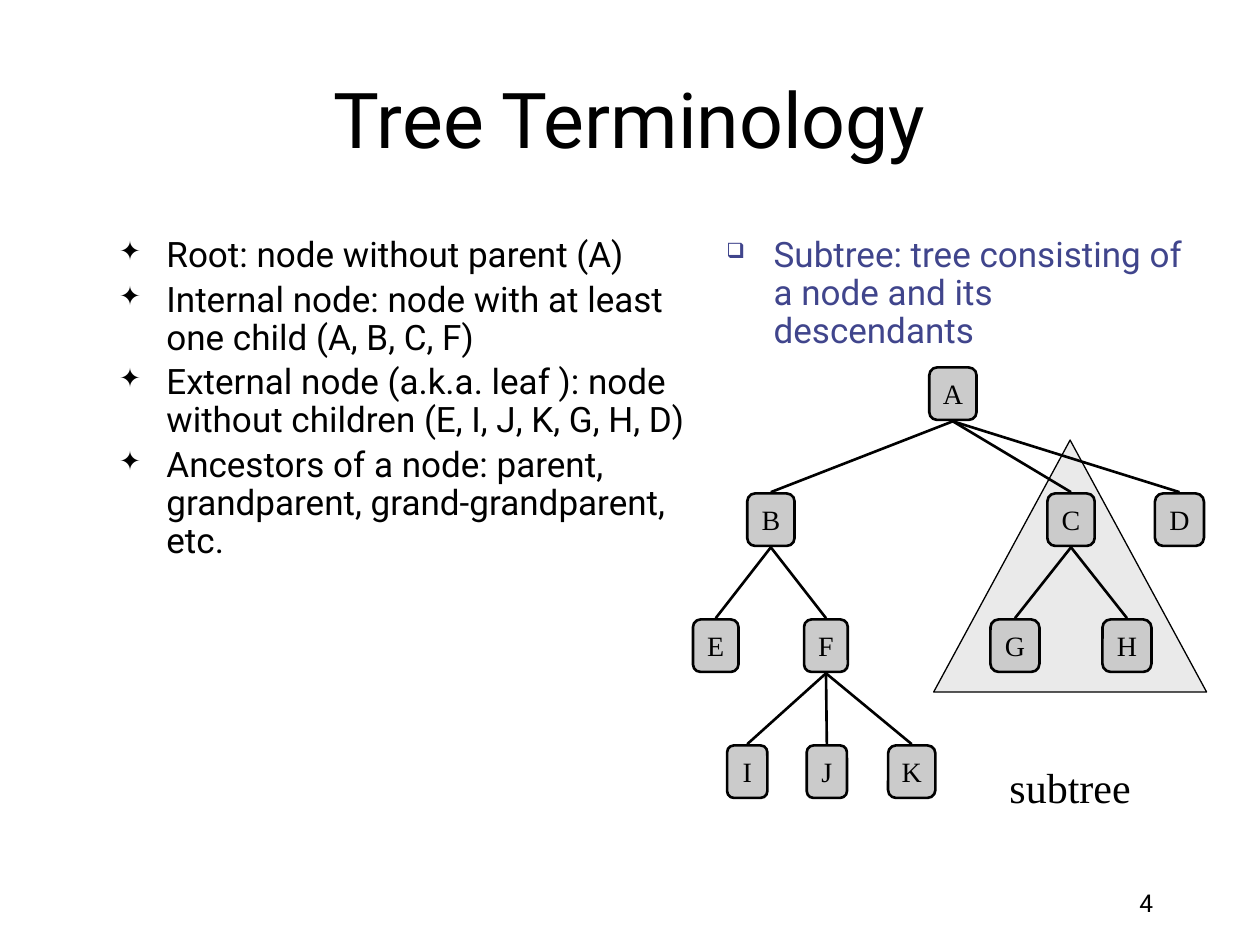
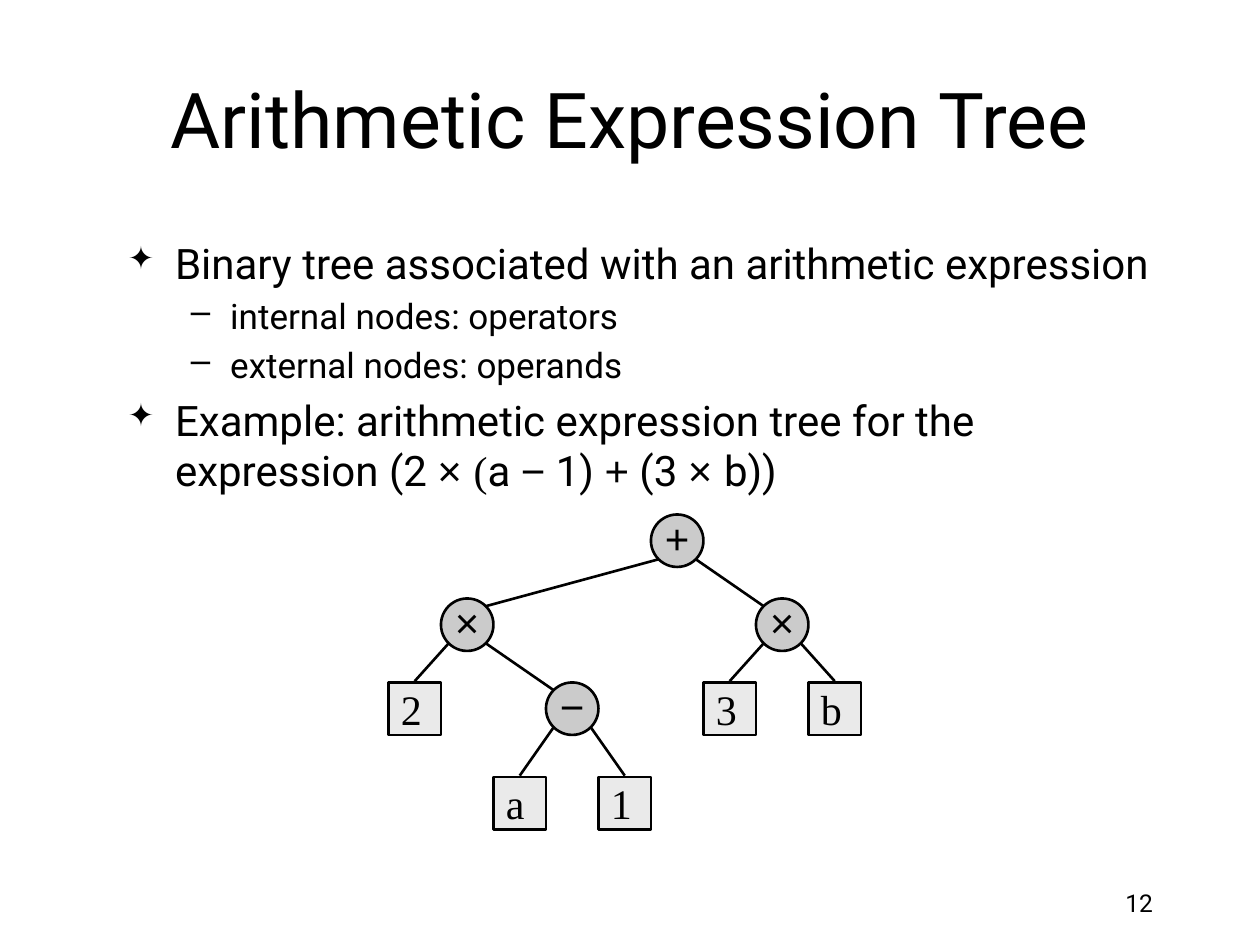
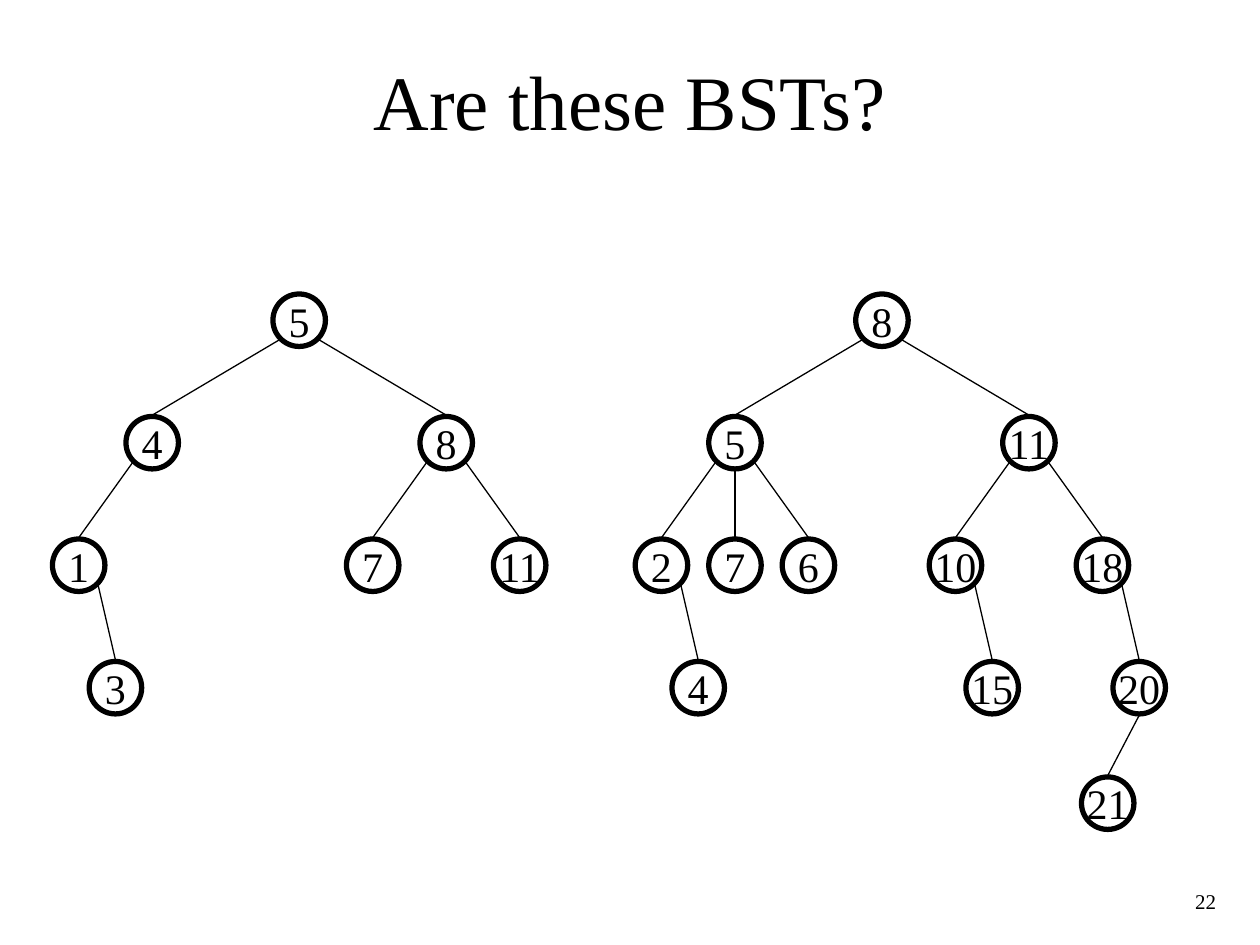
from dataclasses import dataclass

from lxml import etree
from pptx import Presentation
from pptx.dml.color import RGBColor
from pptx.enum.shapes import MSO_CONNECTOR, MSO_SHAPE
from pptx.enum.text import MSO_ANCHOR, PP_ALIGN
from pptx.oxml.ns import qn
from pptx.util import Pt

LEFT, CENTER, RIGHT = PP_ALIGN.LEFT, PP_ALIGN.CENTER, PP_ALIGN.RIGHT
TOP, MIDDLE, BOTTOM = MSO_ANCHOR.TOP, MSO_ANCHOR.MIDDLE, MSO_ANCHOR.BOTTOM
OVAL, RECT = MSO_SHAPE.OVAL, MSO_SHAPE.RECTANGLE
ROUND, PEAK = MSO_SHAPE.ROUNDED_RECTANGLE, MSO_SHAPE.ISOSCELES_TRIANGLE
STRAIGHT = MSO_CONNECTOR.STRAIGHT

BLACK, BLUE, GRAY, PALE = "000000", "40458C", "CBCBCB", "EAEAEA"
SANS, SERIF, SIGN = "Roboto", "Times New Roman", "Arial"
SIDE = 30  # node height and usual width
INSETS = (7.2, 3.6, 7.2, 3.6)


@dataclass
class Bullet:
    mark: str
    color: str = BLACK
    scale: int = 100
    margin: float = 27
    hang: float = 27
    level: int = 0


@dataclass
class Style:
    form: int
    fill: str | None
    line: float
    edge: float
    font: str = SERIF
    size: float = 24
    align: int = CENTER
    insets: tuple = INSETS
    out: float = 0   # diagonal offset where edges leave
    into: float = 0  # diagonal offset where edges arrive


@dataclass
class Node:
    text: str
    x: float  # centre
    top: float
    parent: int = -1
    width: float = SIDE


STAR = Bullet("✦", scale=75)
DASH = Bullet("–", margin=58.5, hang=22.5, level=1)
BOX = Bullet("❑", BLUE, 60)

LABEL = Style(ROUND, GRAY, 1.5, 1.5, size=16)
SYMBOL = Style(OVAL, GRAY, 1.5, 1.5, SIGN, insets=(0, 0, 0, 3.6), out=10.6, into=10.6)
VALUE = Style(RECT, PALE, 1.5, 1.5, align=LEFT)
RING = Style(OVAL, None, 3, 0.75, out=11)


def paint(color: str) -> RGBColor:
    return RGBColor.from_string(color)


def add_mark(para, bullet: Bullet) -> None:
    props = para._p.get_or_add_pPr()
    props.set("marL", str(int(Pt(bullet.margin))))
    props.set("indent", str(int(Pt(-bullet.hang))))
    tint = etree.SubElement(props, qn("a:buClr"))
    etree.SubElement(tint, qn("a:srgbClr"), val=bullet.color)
    etree.SubElement(props, qn("a:buSzPct"), val=str(bullet.scale * 1000))
    etree.SubElement(props, qn("a:buChar"), char=bullet.mark)


def write(frame, text, *, size: float, font: str = SANS, color: str = BLACK,
          align=LEFT, bullet: Bullet | None = None, pitch: float | None = None) -> None:
    """Add a paragraph; text is a string or a list of (text, font) runs."""
    first = not frame.paragraphs[0].runs
    para = frame.paragraphs[0] if first else frame.add_paragraph()
    para.alignment = align
    if bullet:
        para.level = bullet.level
        add_mark(para, bullet)
    para.space_before = Pt(0 if first else size * 0.2)
    if pitch:
        para.line_spacing = pitch
    for part, face in [(text, font)] if isinstance(text, str) else text:
        run = para.add_run()
        run.text = part
        run.font.name, run.font.size = face, Pt(size)
        run.font.color.rgb = paint(color)


def set_frame(frame, anchor, wrap: bool = True, insets: tuple = INSETS) -> None:
    frame.word_wrap, frame.vertical_anchor = wrap, anchor
    (frame.margin_left, frame.margin_top,
     frame.margin_right, frame.margin_bottom) = map(Pt, insets)


def add_text(slide, x: float, y: float, w: float, h: float, anchor=TOP):
    frame = slide.shapes.add_textbox(Pt(x), Pt(y), Pt(w), Pt(h)).text_frame
    set_frame(frame, anchor)
    return frame


def add_form(slide, form, x: float, y: float, w: float, h: float,
             fill: str | None, line: float):
    shape = slide.shapes.add_shape(form, Pt(x), Pt(y), Pt(w), Pt(h))
    shape.shadow.inherit = False
    if fill:
        shape.fill.solid()
        shape.fill.fore_color.rgb = paint(fill)
    else:
        shape.fill.background()
    shape.line.color.rgb = paint(BLACK)
    shape.line.width = Pt(line)
    return shape


def add_edge(slide, start: tuple, end: tuple, width: float) -> None:
    edge = slide.shapes.add_connector(STRAIGHT, *map(Pt, start + end))
    edge.line.color.rgb = paint(BLACK)
    edge.line.width = Pt(width)
    etree.SubElement(edge._element.spPr, qn("a:effectLst"))


def join(slide, above: Node, below: Node, inner: Style, style: Style) -> None:
    """Link a parent to its child, from the side that faces the child."""
    gap = below.x - above.x
    side = 1 if gap > 0 else -1
    out = inner.out if abs(gap) >= 20 else 0
    drop = SIDE / 2 + out if out else SIDE + 0.75
    rise = SIDE / 2 - style.into if style.into else -0.75
    add_edge(slide, (above.x + side * out, above.top + drop),
             (below.x - side * style.into, below.top + rise), inner.edge)


def add_tree(slide, nodes: list[Node], inner: Style, leaf: Style | None = None) -> None:
    parents = {node.parent for node in nodes}
    for place, node in enumerate(nodes):
        style = inner if place in parents else leaf or inner
        shape = add_form(slide, style.form, node.x - node.width / 2, node.top,
                         node.width, SIDE, style.fill, style.line)
        set_frame(shape.text_frame, MIDDLE, False, style.insets)
        write(shape.text_frame, node.text, size=style.size, font=style.font,
              align=style.align)
        if node.parent >= 0:
            join(slide, nodes[node.parent], node, inner, style)


def add_slide(deck, title: str, x: float = 54, y: float = 22.5, w: float = 612,
              font: str = SANS):
    slide = deck.slides.add_slide(deck.slide_layouts[5])
    head = slide.shapes.title
    head.left, head.top, head.width, head.height = map(Pt, (x, y, w, 90))
    set_frame(head.text_frame, MIDDLE)
    write(head.text_frame, title, size=44, font=font, align=CENTER)
    return slide


def add_number(slide, text: str) -> None:
    frame = add_text(slide, 516, 492, 150, 36, BOTTOM)
    write(frame, text, size=14, align=RIGHT)


def add_terms(deck) -> None:
    slide = add_slide(deck, "Tree Terminology")
    add_number(slide, "4")
    # Subtree marker, behind the tree
    cone = add_form(slide, PEAK, 533.5, 251.5, 156, 144, PALE, 0.75)
    set_frame(cone.text_frame, BOTTOM, False, (7.2, 208.8, 7.2, 0))
    write(cone.text_frame, "subtree", size=24, font=SERIF, align=CENTER)
    # Terms
    frame = add_text(slide, 61, 132, 358.5, 360)
    for term in (
        "Root: node without parent (A)",
        "Internal node: node with at least one child (A, B, C, F)",
        "External node (a.k.a. leaf ): node without children (E, I, J, K, G, H, D)",
        "Ancestors of a node: parent, grandparent, grand-grandparent, etc.",
    ):
        write(frame, term, size=20, bullet=STAR, pitch=0.9)
    frame = add_text(slide, 408, 132, 276, 78)
    write(frame, "Subtree: tree consisting of a node and its descendants",
          size=20, color=BLUE, bullet=BOX, pitch=0.9)
    # Tree
    rows = [210 + 72 * step for step in range(4)]
    add_tree(slide, [
        Node("A", 544.5, rows[0], width=27),
        Node("B", 440.5, rows[1], 0, 27),
        Node("C", 612, rows[1], 0, 27),
        Node("D", 674, rows[1], 0, 28),
        Node("E", 409, rows[2], 1, 26),
        Node("F", 472, rows[2], 1, 25),
        Node("G", 580, rows[2], 2, 28),
        Node("H", 644, rows[2], 2, 28),
        Node("I", 427, rows[3], 5, 23),
        Node("J", 472.5, rows[3], 5, 23),
        Node("K", 521, rows[3], 5, 27),
    ], LABEL)


def add_math(deck) -> None:
    slide = add_slide(deck, "Arithmetic Expression Tree")
    add_number(slide, "12")
    # Bullets
    frame = add_text(slide, 66, 132, 612, 156)
    write(frame, "Binary tree associated with an arithmetic expression",
          size=24, bullet=STAR)
    for line in ("internal nodes: operators", "external nodes: operands"):
        write(frame, line, size=20, bullet=DASH)
    write(frame, [
        ("Example: arithmetic expression tree for the expression (2 ", SANS),
        ("× ", SIGN), ("(", SERIF), ("a ", SANS), ("−", SIGN), (" 1) ", SANS),
        ("+", SIGN), (" (3 ", SANS), ("× ", SIGN), ("b))", SANS),
    ], size=24, bullet=STAR)
    # Tree
    rows = (294, 342, 390, 444)
    add_tree(slide, [
        Node("+", 387, rows[0]),
        Node("×", 267, rows[1], 0),
        Node("×", 447, rows[1], 0),
        Node("2", 237, rows[2], 1),
        Node("−", 327, rows[2], 1),
        Node("3", 417, rows[2], 2),
        Node("b", 477, rows[2], 2),
        Node("a", 297, rows[3], 4),
        Node("1", 357, rows[3], 4),
    ], SYMBOL, VALUE)


def add_quiz(deck) -> None:
    slide = add_slide(deck, "Are these BSTs?", 42, 12, 636, SERIF)
    rows = (168, 238, 308, 378, 444)
    # Left tree
    add_tree(slide, [
        Node("5", 171, rows[0]),
        Node("4", 87, rows[1], 0),
        Node("8", 255, rows[1], 0),
        Node("1", 45, rows[2], 1),
        Node("7", 213, rows[2], 2),
        Node("11", 297, rows[2], 2),
        Node("3", 66, rows[3], 3),
    ], RING)
    # Right tree
    add_tree(slide, [
        Node("8", 504, rows[0]),
        Node("5", 420, rows[1], 0),
        Node("11", 588, rows[1], 0),
        Node("2", 378, rows[2], 1),
        Node("7", 420, rows[2], 1),
        Node("6", 462, rows[2], 1),
        Node("10", 546, rows[2], 2),
        Node("18", 630, rows[2], 2),
        Node("4", 399, rows[3], 3),
        Node("15", 567, rows[3], 6),
        Node("20", 651, rows[3], 7),
        Node("21", 633, rows[4], 10),
    ], RING)
    # Page number
    frame = add_text(slide, 640, 500.5, 62, 29, MIDDLE)
    write(frame, "22", size=12, font=SERIF, align=RIGHT)


def main() -> None:
    deck = Presentation()
    deck.slide_width, deck.slide_height = Pt(720), Pt(540)
    add_terms(deck)
    add_math(deck)
    add_quiz(deck)
    deck.save("out.pptx")


if __name__ == "__main__":
    main()
